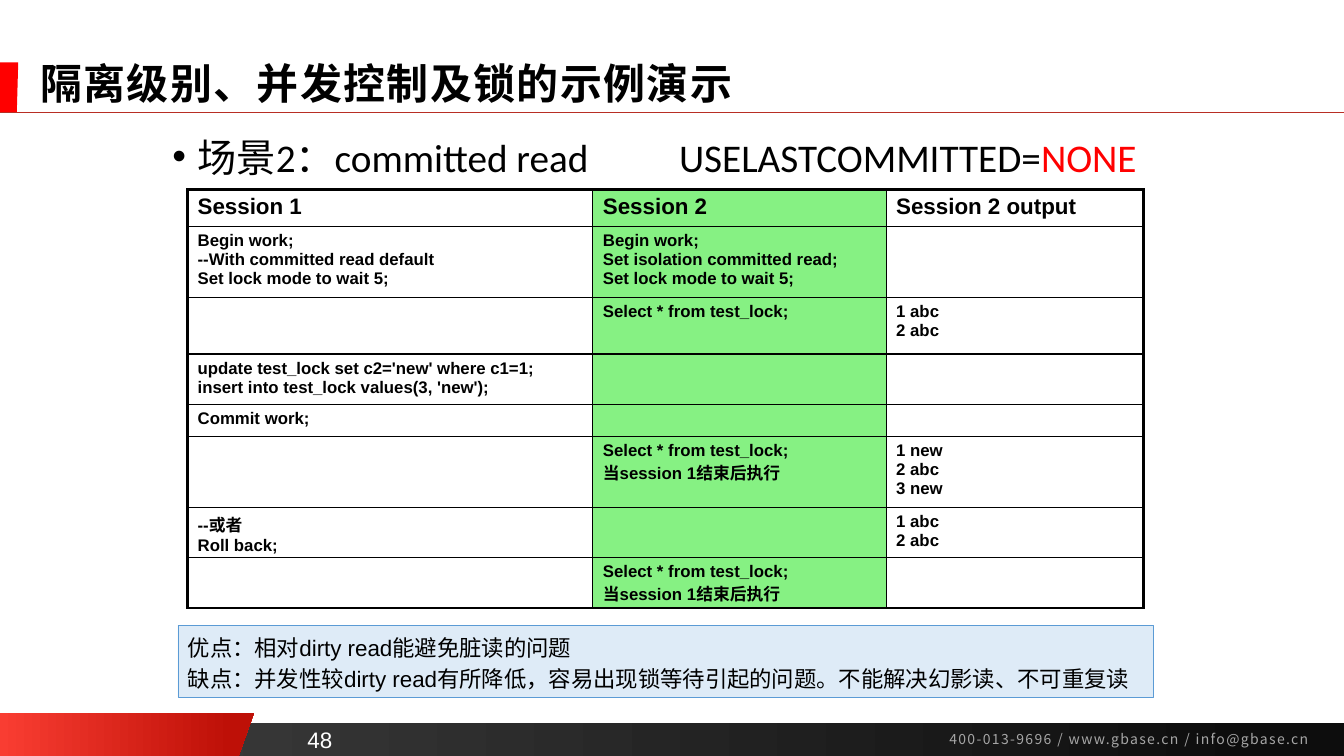
from lxml import etree
from pptx import Presentation
from pptx.dml.color import RGBColor
from pptx.enum import shapes, text
from pptx.oxml.ns import qn
from pptx.util import Pt

CJK = "Noto Sans CJK SC"
BLACK, RED, WHITE, GREEN = "000000", "FF0000", "FFFFFF", "86F183"
TITLE = "隔离级别、并发控制及锁的示例演示"
SCENARIO = [("场景2：committed read\tUSELASTCOMMITTED=", BLACK), ("NONE", RED)]
CONTACT = "400-013-9696 / www.gbase.cn / info@gbase.cn"
PAGE = "48"
NOTES = [
    "优点：相对dirty read能避免脏读的问题",
    "缺点：并发性较dirty read有所降低，容易出现锁等待引起的问题。不能解决幻影读、不可重复读",
]
SELECT = "Select * from test_lock;"
WAITED = [SELECT, "当session 1结束后执行"]
LOCK_WAIT = "Set lock mode to wait 5;"
OLD_ROWS = ["1 abc", "2 abc"]
COL_WIDTHS = [289.5, 209.5, 184]
ROWS = [
    (26, ["Session 1"], ["Session 2"], ["Session 2 output"]),
    (47.5, ["Begin work;", "--With committed read default", LOCK_WAIT],
     ["Begin work;", "Set isolation committed read;", LOCK_WAIT], []),
    (40.5, [], [SELECT], OLD_ROWS),
    (34, ["update test_lock set c2='new' where c1=1;",
          "insert into test_lock values(3, 'new');"], [], []),
    (23, ["Commit work;"], [], []),
    (47.5, [], WAITED, ["1 new", "2 abc", "3 new"]),
    (34, ["--或者", "Roll back;"], [], OLD_ROWS),
    (34, [], WAITED, []),
]
BANNERS = [
    ([(0, 509), (181.5, 509), (170.5, 540), (0, 540)], ["F93D32", "BE1007"], 0.91),
    ([(0, 44.5), (13, 44.5), (12, 80.5), (0, 80.5)], [RED], 1),
]


def rgb(color):
    return RGBColor.from_string(color)


def pts(*values):
    return [Pt(v) for v in values]


def paint(fill, colors, end=1):
    if len(colors) == 1:
        fill.solid()
        fill.fore_color.rgb = rgb(colors[0])
        return
    fill.gradient()
    fill.gradient_angle = 0
    for stop, color, position in zip(fill.gradient_stops, colors, (0, end)):
        stop.color.rgb = rgb(color)
        stop.position = position


def add_run(p, words, size, font="Arial", color=BLACK, bold=False, spacing=0):
    r = p.add_run()
    r.text = words
    r.font.size = Pt(size)
    r.font.bold = bold
    r.font.color.rgb = rgb(color)
    r.font.name = font
    etree.SubElement(r.font._element, qn("a:ea"), typeface=CJK)
    if spacing:
        r.font._element.set("spc", str(spacing * 100))


def add_box(s, box, wrap=True):
    tf = s.shapes.add_textbox(*pts(*box)).text_frame
    tf.word_wrap = wrap
    return tf


def paragraphs(tf, count):
    return [tf.paragraphs[0]] + [tf.add_paragraph() for _ in range(count - 1)]


def indent(p, size):
    pPr = p._p.get_or_add_pPr()
    pPr.set("marL", str(Pt(size)))
    pPr.set("indent", str(-Pt(size)))
    return pPr


def add_border(cell, side, width):
    tcPr = cell._tc.get_or_add_tcPr()
    ln = etree.SubElement(tcPr, qn("a:ln" + side), w=str(Pt(width)))
    fill = etree.SubElement(ln, qn("a:solidFill"))
    etree.SubElement(fill, qn("a:srgbClr"), val=BLACK)


def add_banners(s):
    bar = s.shapes.add_shape(shapes.MSO_SHAPE.RECTANGLE, *pts(0, 516.5, 960, 23.5))
    bar.shadow.inherit = False
    bar.line.fill.background()
    paint(bar.fill, ["404040", "0D0D0D"], 0.94)
    for corners, colors, end in BANNERS:
        first, *rest = [pts(*c) for c in corners]
        builder = s.shapes.build_freeform(*first)
        builder.add_line_segments(rest, close=True)
        banner = builder.convert_to_shape()
        banner.shadow.inherit = False
        banner.line.fill.background()
        paint(banner.fill, colors, end)
    rule = s.shapes.add_connector(shapes.MSO_CONNECTOR.STRAIGHT, *pts(0, 80, 960, 80))
    rule.line.color.rgb = rgb("B82E24")
    rule.line.width = Pt(0.5)
    etree.SubElement(rule._element.spPr, qn("a:effectLst"))


def add_headings(s):
    title = s.shapes.title
    title.left, title.top, title.width, title.height = pts(21.5, 42.5, 883, 38)
    tf = title.text_frame
    tf.vertical_anchor = text.MSO_ANCHOR.MIDDLE
    p = tf.paragraphs[0]
    p.alignment = text.PP_ALIGN.LEFT
    p.line_spacing = 0.9
    add_run(p, TITLE, 30, CJK, bold=True, spacing=1)

    p = add_box(s, (116, 98, 844, 36)).paragraphs[0]
    pPr = indent(p, 18)
    etree.SubElement(pPr, qn("a:buFont"), typeface="Arial")
    etree.SubElement(pPr, qn("a:buChar"), char="•")
    tabs = etree.SubElement(pPr, qn("a:tabLst"))
    etree.SubElement(tabs, qn("a:tab"), pos=str(Pt(362)), algn="l")
    p.line_spacing = 0.8
    for words, color in SCENARIO:
        add_run(p, words, 28, "Calibri", color)


def add_sessions(s):
    frame = s.shapes.add_table(len(ROWS), len(COL_WIDTHS),
                               *pts(134, 135.5, sum(COL_WIDTHS), sum(r[0] for r in ROWS)))
    table = frame.table
    table.first_row = table.horz_banding = False
    last_row, last_col = len(ROWS) - 1, len(COL_WIDTHS) - 1
    for column, width in zip(table.columns, COL_WIDTHS):
        column.width = Pt(width)
    for i, (height, *contents) in enumerate(ROWS):
        table.rows[i].height = Pt(height)
        size = 12 if i else 16
        for j, lines in enumerate(contents):
            cell = table.cell(i, j)
            outer = {"L": j == 0, "R": j == last_col, "T": i == 0, "B": i == last_row}
            for side, thick in outer.items():
                add_border(cell, side, 2.25 if thick else 1)
            if j == 1:
                paint(cell.fill, [GREEN])
            else:
                cell.fill.background()
            if not lines:
                p = cell.text_frame.paragraphs[0]
                etree.SubElement(p._p, qn("a:endParaRPr"), sz=str(size * 100))
                continue
            for p, line in zip(paragraphs(cell.text_frame, len(lines)), lines):
                if i:
                    indent(p, 30)
                add_run(p, line, size, bold=True)


def add_notes_panel(s):
    panel = s.shapes.add_shape(shapes.MSO_SHAPE.RECTANGLE, *pts(127, 446.5, 697, 51.5))
    panel.shadow.inherit = False
    paint(panel.fill, ["DEEBF7"])
    panel.line.color.rgb = rgb("5B9BD5")
    panel.line.width = Pt(0.25)
    tf = panel.text_frame
    tf.word_wrap = True
    tf.vertical_anchor = text.MSO_ANCHOR.TOP
    for p, line in zip(paragraphs(tf, len(NOTES)), NOTES):
        p.alignment = text.PP_ALIGN.LEFT
        p.line_spacing = Pt(22)
        add_run(p, line, 16)


def add_footer(s):
    tf = add_box(s, (671, 518.5, 287.5, 19.5))
    add_run(tf.paragraphs[0], CONTACT, 10, CJK, "A6A6A6", spacing=1)
    tf = add_box(s, (209, 515, 39, 26.5), wrap=False)
    tf.vertical_anchor = text.MSO_ANCHOR.BOTTOM
    p = tf.paragraphs[0]
    p.alignment = text.PP_ALIGN.CENTER
    add_run(p, PAGE, 16, color=WHITE)


def main():
    prs = Presentation()
    prs.slide_width, prs.slide_height = pts(960, 540)
    s = prs.slides.add_slide(prs.slide_layouts[5])
    for build in (add_banners, add_headings, add_sessions, add_notes_panel, add_footer):
        build(s)
    prs.save("out.pptx")


if __name__ == "__main__":
    main()
